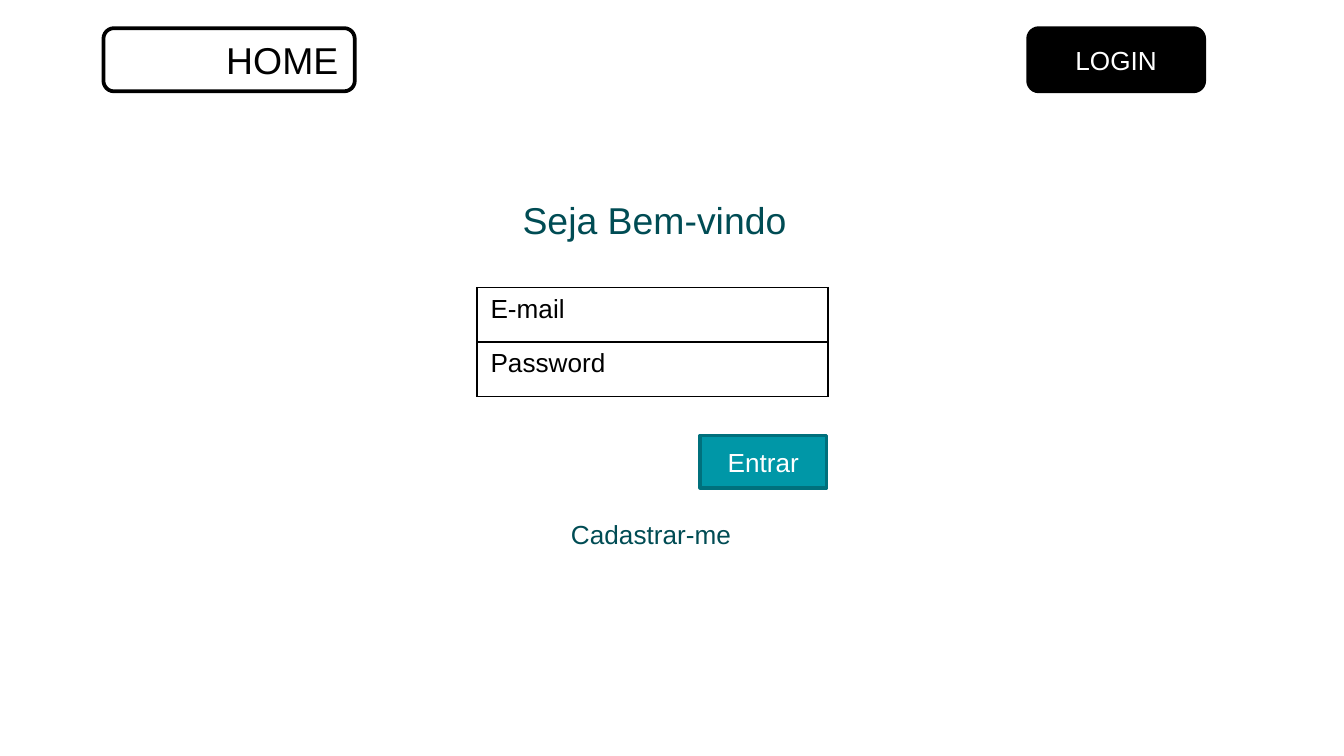
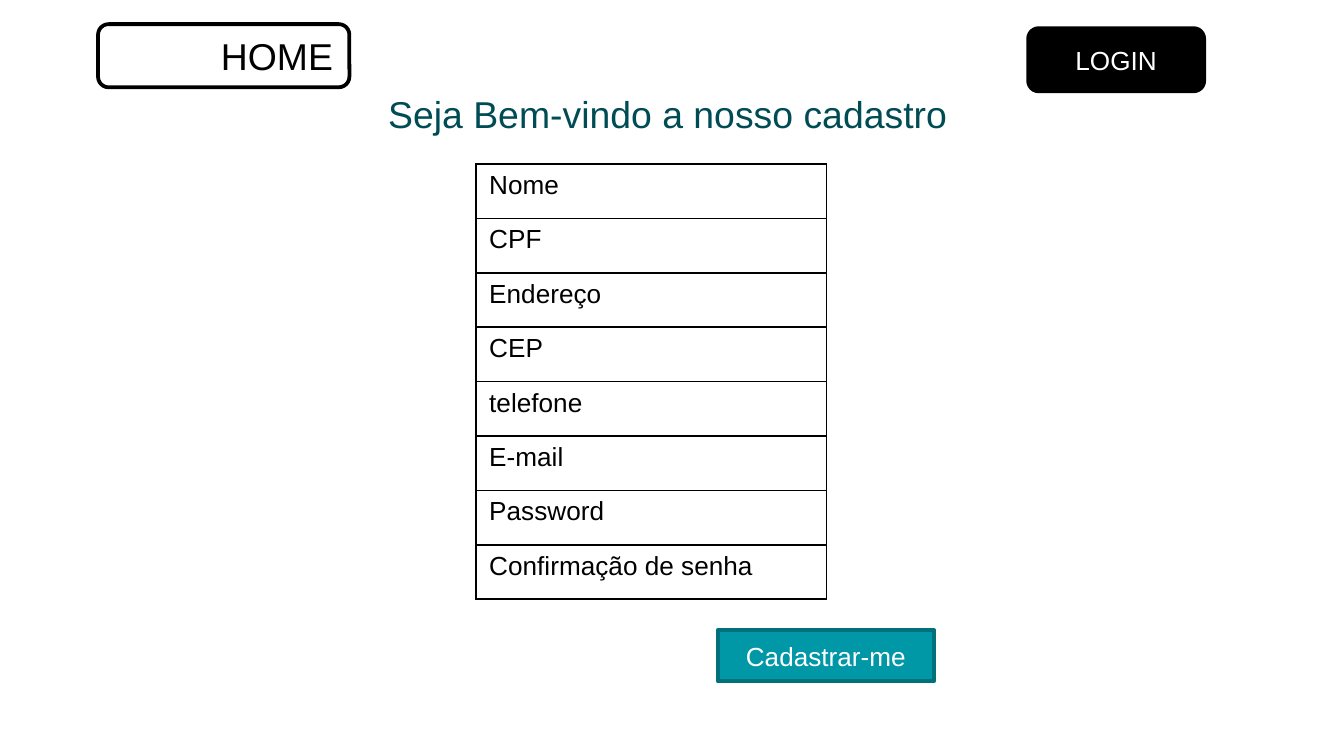
from lxml.etree import SubElement
from pptx import Presentation
from pptx.dml.color import RGBColor
from pptx.enum.shapes import MSO_SHAPE
from pptx.enum.text import MSO_ANCHOR, MSO_AUTO_SIZE, PP_ALIGN
from pptx.oxml.ns import qn
from pptx.util import Inches, Pt

FONT = "Arial"
BLACK, WHITE = "000000", "FFFFFF"
TEAL, EDGE, DARK = "0097A7", "00707C", "004C54"
BODY, HEAD = 14, 20
WIDE = Inches(10)


def color(code):
    return RGBColor.from_string(code)


def write(frame, text, size, code, align=PP_ALIGN.LEFT):
    para = frame.paragraphs[0]
    para.text = text
    para.alignment = align
    para.font.name = FONT
    para.font.size = Pt(size)
    para.font.color.rgb = color(code)


def button(slide, box, text, fill, edge, ink=WHITE, size=BODY,
           kind=MSO_SHAPE.RECTANGLE, align=PP_ALIGN.CENTER):
    shape = slide.shapes.add_shape(kind, *map(Inches, box))
    shape.shadow.inherit = False
    if fill:
        shape.fill.solid()
        shape.fill.fore_color.rgb = color(fill)
    else:
        shape.fill.background()
    shape.line.color.rgb = color(edge)
    shape.line.width = Pt(2)
    shape.text_frame.vertical_anchor = MSO_ANCHOR.MIDDLE
    write(shape.text_frame, text, size, ink, align)


def label(slide, box, text, size):
    frame = slide.shapes.add_textbox(*map(Inches, box)).text_frame
    frame.word_wrap = False
    frame.auto_size = MSO_AUTO_SIZE.SHAPE_TO_FIT_TEXT
    write(frame, text, size, DARK)


def border(cell):
    props = cell._tc.get_or_add_tcPr()
    for side in ("lnL", "lnR", "lnT", "lnB"):
        line = SubElement(props, qn(f"a:{side}"), w=str(Pt(1)))
        fill = SubElement(line, qn("a:solidFill"))
        SubElement(fill, qn("a:srgbClr"), val=BLACK)


def form(slide, box, fields):
    table = slide.shapes.add_table(len(fields), 1, *map(Inches, box)).table
    table.first_row = table.horz_banding = False
    for row, field in enumerate(fields):
        cell = table.cell(row, 0)
        border(cell)
        cell.fill.background()
        write(cell.text_frame, field, BODY, BLACK)


# Top bar: login at the right, home at the given corner
def header(slide, left, top):
    button(slide, (7.65, 0.21, 1.31, 0.47), "LOGIN", BLACK, BLACK,
           kind=MSO_SHAPE.ROUNDED_RECTANGLE)
    button(slide, (left, top, 1.87, 0.47), "HOME", None, BLACK, BLACK, HEAD,
           MSO_SHAPE.ROUNDED_RECTANGLE, PP_ALIGN.RIGHT)


# Sign-in page, laid out from the corner of its form
def sign_in(slide, box):
    left, top, width, height = box
    end = top + height
    header(slide, 0.77, 0.21)
    form(slide, box, ["E-mail", "Password"])
    button(slide, (left + 1.66, end + 0.29, 0.94, 0.39), "Entrar", TEAL, EDGE)
    label(slide, (left + 0.6, end + 0.86, 1.45, 0.34), "Cadastrar-me", BODY)
    label(slide, (left + 0.24, top - 0.72, 2.26, 0.44), "Seja Bem-vindo", HEAD)


# Sign-up page, laid out from the corner of its form
def sign_up(slide, box):
    left, top, width, height = box
    header(slide, 0.73, 0.18)
    form(slide, box, ["Nome", "CPF", "Endereço", "CEP", "telefone",
                      "E-mail", "Password", "Confirmação de senha"])
    button(slide, (left + 1.8, top + height + 0.23, 1.61, 0.38),
           "Cadastrar-me", TEAL, EDGE)
    label(slide, (left - 0.75, top - 0.59, 4.47, 0.44),
          "Seja Bem-vindo a nosso cadastro", HEAD)


def main():
    deck = Presentation()
    deck.slide_width, deck.slide_height = WIDE, WIDE * 9 // 16
    blank = deck.slide_layouts[6]
    sign_in(deck.slides.add_slide(blank), (3.55, 2.14, 2.61, 0.81))
    sign_up(deck.slides.add_slide(blank), (3.54, 1.22, 2.61, 3.24))
    deck.save("out.pptx")


if __name__ == "__main__":
    main()
